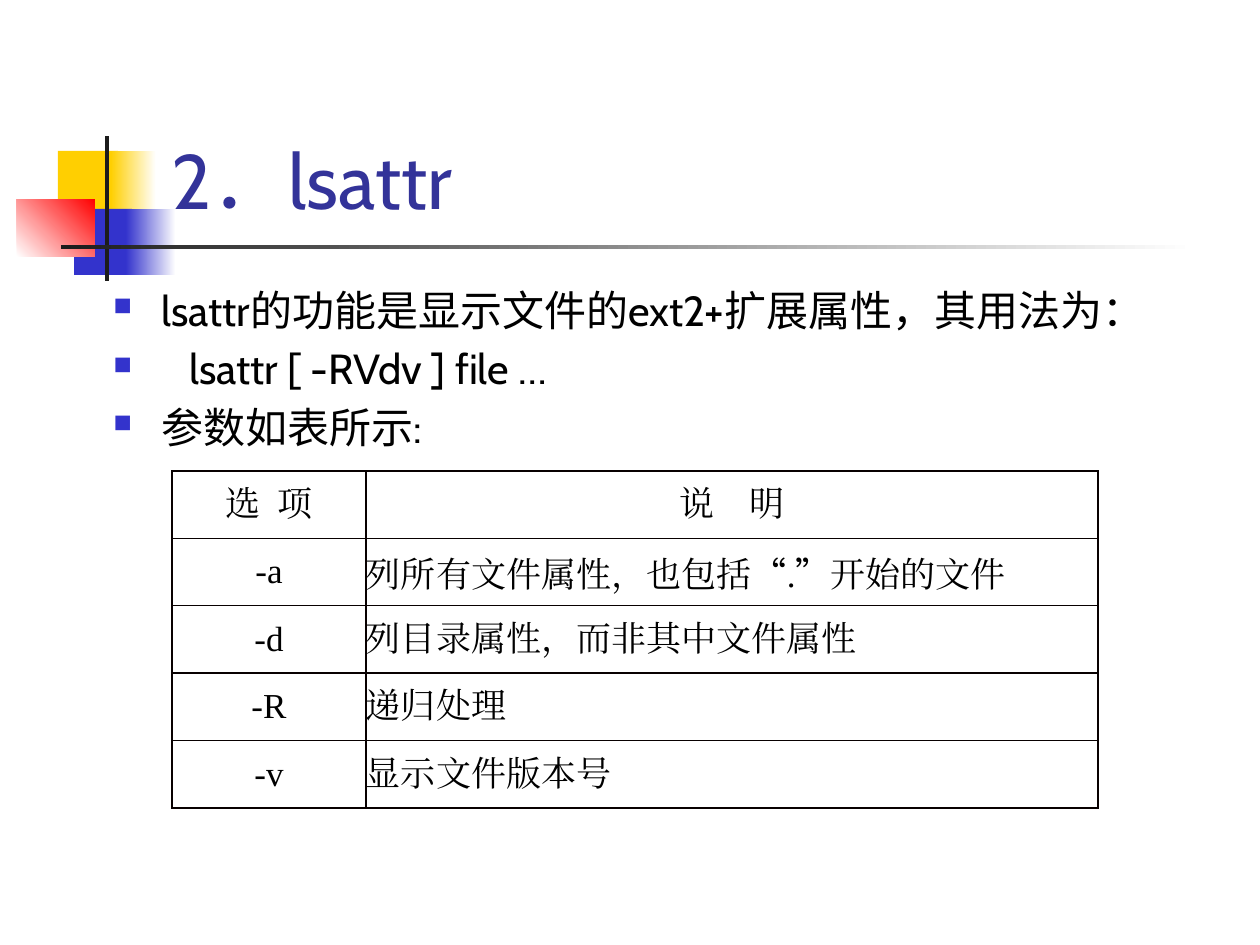
from dataclasses import dataclass

from lxml import etree
from pptx import Presentation
from pptx import util as u
from pptx.dml.color import RGBColor
from pptx.enum import shapes, text
from pptx.oxml.ns import qn


@dataclass(frozen=True)
class Theme:
    body_font: str = "Cabin"
    table_font: str = "Times New Roman"
    quote_font: str = "Noto Sans CJK SC"
    title_size: int = 44
    body_size: int = 24
    table_size: int = 20
    border_width: int = 1
    title: str = "333399"
    ink: str = "000000"
    border: str = "080000"
    yellow: str = "FFCF01"
    blue: str = "3333CC"
    red: str = "FF0000"
    dark: str = "1C1C1C"
    white: str = "FFFFFF"


THEME = Theme()
PX_PER_INCH = 126

BULLETS = [
    ("lsattr的功能是显示文件的ext2+扩展属性，其用法为：", 48),
    ("lsattr [ -RVdv ] file …", 76),
    ("参数如表所示:", 48),
]
HEADER = [("选 项", 250), ("说 明", 750)]
OPTIONS = [
    ("-a", ["列所有文件属性，也包括", "“", ".", "”", "开始的文件"]),
    ("-d", ["列目录属性，而非其中文件属性"]),
    ("-R", ["递归处理"]),
    ("-v", ["显示文件版本号"]),
]


def px(length):
    return u.Emu(round(length * u.Inches(1) / PX_PER_INCH))


def rgb(color):
    return RGBColor.from_string(color)


def format_run(run, font, size, color):
    run.font.name = font
    run.font.size = u.Pt(size)
    run.font.color.rgb = rgb(color)
    latin = run.font._element.find(qn("a:latin"))
    east_asian = etree.Element(qn("a:ea"), typeface=font)
    latin.addnext(east_asian)


def add_text_box(slide, box, anchor):
    frame = slide.shapes.add_textbox(*map(px, box)).text_frame
    frame.word_wrap = True
    frame.vertical_anchor = anchor
    return frame


def add_ornament(slide, box):
    left, top = box[:2]
    parts = [
        ((41, 15, 60, 66), [THEME.yellow], 0),
        ((94, 15, 45, 66), [THEME.yellow, THEME.white], 0),
        ((57, 73, 58, 66), [THEME.blue], 0),
        ((109, 73, 50, 66), [THEME.blue, THEME.white], 0),
        ((0, 63, 78, 58), [THEME.white, THEME.red], 45),
        ((88, 0, 4, 145), [THEME.dark], 0),
        ((44, 109, 1134, 4), [THEME.dark, THEME.white], 0),
    ]
    for (x, y, width, height), colors, angle in parts:
        shape = slide.shapes.add_shape(
            shapes.MSO_SHAPE.RECTANGLE, px(left + x), px(top + y), px(width), px(height)
        )
        shape.shadow.inherit = False
        shape.line.fill.background()
        if len(colors) == 1:
            shape.fill.solid()
            shape.fill.fore_color.rgb = rgb(colors[0])
        else:
            shape.fill.gradient()
            shape.fill.gradient_angle = angle
            for stop, color in zip(shape.fill.gradient_stops, colors):
                stop.color.rgb = rgb(color)


def add_title(slide, box):
    frame = add_text_box(slide, box, text.MSO_ANCHOR.BOTTOM)
    frame.text = "2．lsattr"
    format_run(frame.paragraphs[0].runs[0], THEME.body_font, THEME.title_size, THEME.title)


def add_bullet(paragraph, indent):
    properties = paragraph._p.get_or_add_pPr()
    properties.set("marL", str(px(indent)))
    properties.set("indent", str(-px(indent)))
    color = etree.SubElement(properties, qn("a:buClr"))
    etree.SubElement(color, qn("a:srgbClr"), val=THEME.blue)
    etree.SubElement(properties, qn("a:buSzPct"), val="60000")
    etree.SubElement(properties, qn("a:buChar"), char="■")


def add_body(slide, box):
    frame = add_text_box(slide, box, text.MSO_ANCHOR.TOP)
    frame.text = "\n".join(words for words, indent in BULLETS)
    for index, (paragraph, (words, indent)) in enumerate(zip(frame.paragraphs, BULLETS)):
        add_bullet(paragraph, indent)
        if index:
            paragraph.space_before = u.Pt(THEME.body_size * 0.2)
        format_run(paragraph.runs[0], THEME.body_font, THEME.body_size, THEME.ink)


def add_borders(cell):
    properties = cell._tc.get_or_add_tcPr()
    for index, side in enumerate(("lnL", "lnR", "lnT", "lnB")):
        line = etree.Element(qn(f"a:{side}"), w=str(u.Pt(THEME.border_width)))
        fill = etree.SubElement(line, qn("a:solidFill"))
        etree.SubElement(fill, qn("a:srgbClr"), val=THEME.border)
        properties.insert(index, line)


def fill_cell(cell, pieces, alignment, spacing=0):
    cell.fill.background()
    add_borders(cell)
    cell.vertical_anchor = text.MSO_ANCHOR.MIDDLE
    cell.margin_left = cell.margin_right = cell.margin_top = cell.margin_bottom = 0
    paragraph = cell.text_frame.paragraphs[0]
    paragraph.alignment = alignment
    for piece in pieces:
        run = paragraph.add_run()
        run.text = piece
        font = THEME.quote_font if piece in "“”" else THEME.table_font
        format_run(run, font, THEME.table_size, THEME.ink)
        if spacing:
            run.font._element.set("spc", str(spacing))


def add_options_table(slide, box):
    left, top, width, height = box
    row_count = len(OPTIONS) + 1
    table = slide.shapes.add_table(row_count, 2, *map(px, box)).table
    table.first_row = table.horz_banding = False
    option_width = 194
    table.columns[0].width = px(option_width)
    table.columns[1].width = px(width - option_width)
    for row in table.rows:
        row.height = px(height / row_count)
    for column, (words, spacing) in enumerate(HEADER):
        fill_cell(table.cell(0, column), [words], text.PP_ALIGN.CENTER, spacing)
    for row, (option, pieces) in enumerate(OPTIONS, 1):
        fill_cell(table.cell(row, 0), [option], text.PP_ALIGN.CENTER)
        fill_cell(table.cell(row, 1), pieces, text.PP_ALIGN.LEFT)


def main():
    presentation = Presentation()
    presentation.slide_width = px(1260)
    presentation.slide_height = px(945)
    slide = presentation.slides.add_slide(presentation.slide_layouts[6])
    add_ornament(slide, (17, 136, 1178, 145))
    add_title(slide, (159, 29, 1074, 202))
    add_body(slide, (101, 278, 1134, 567))
    add_options_table(slide, (172, 471, 926, 337))
    presentation.save("out.pptx")


if __name__ == "__main__":
    main()
